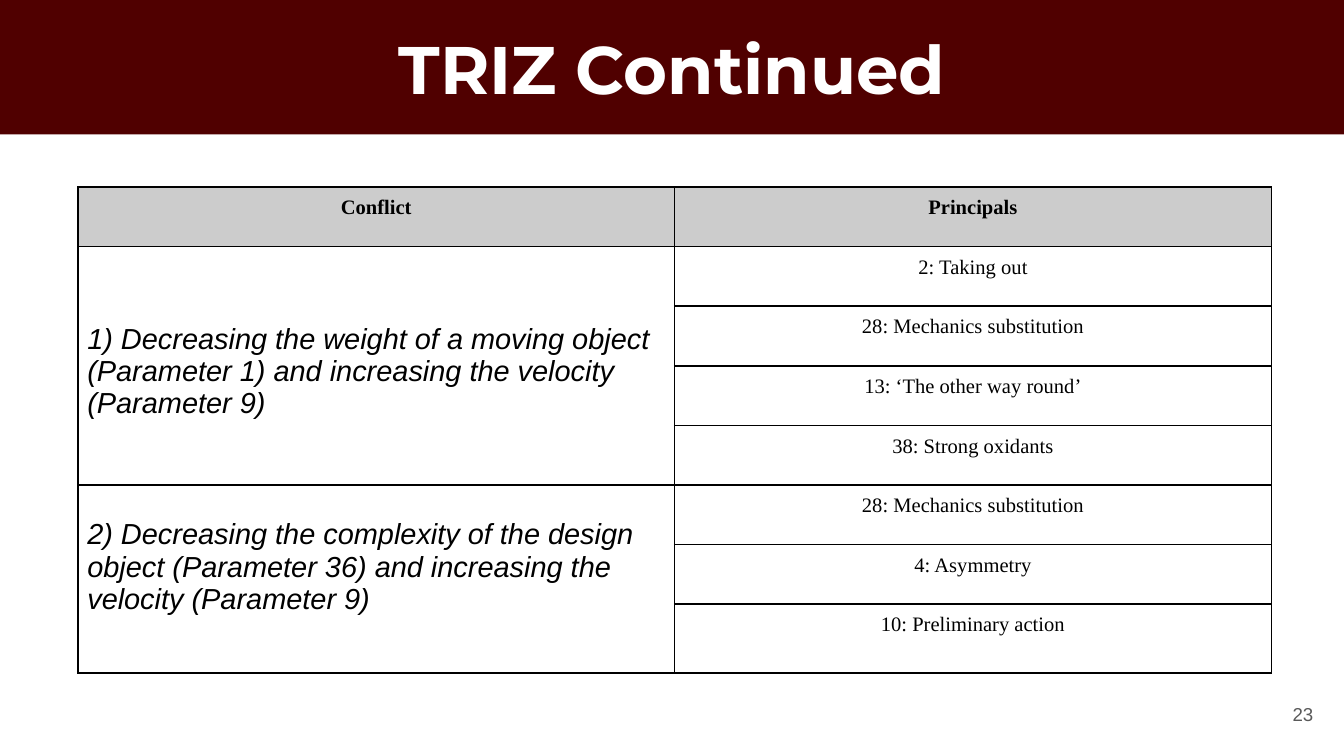
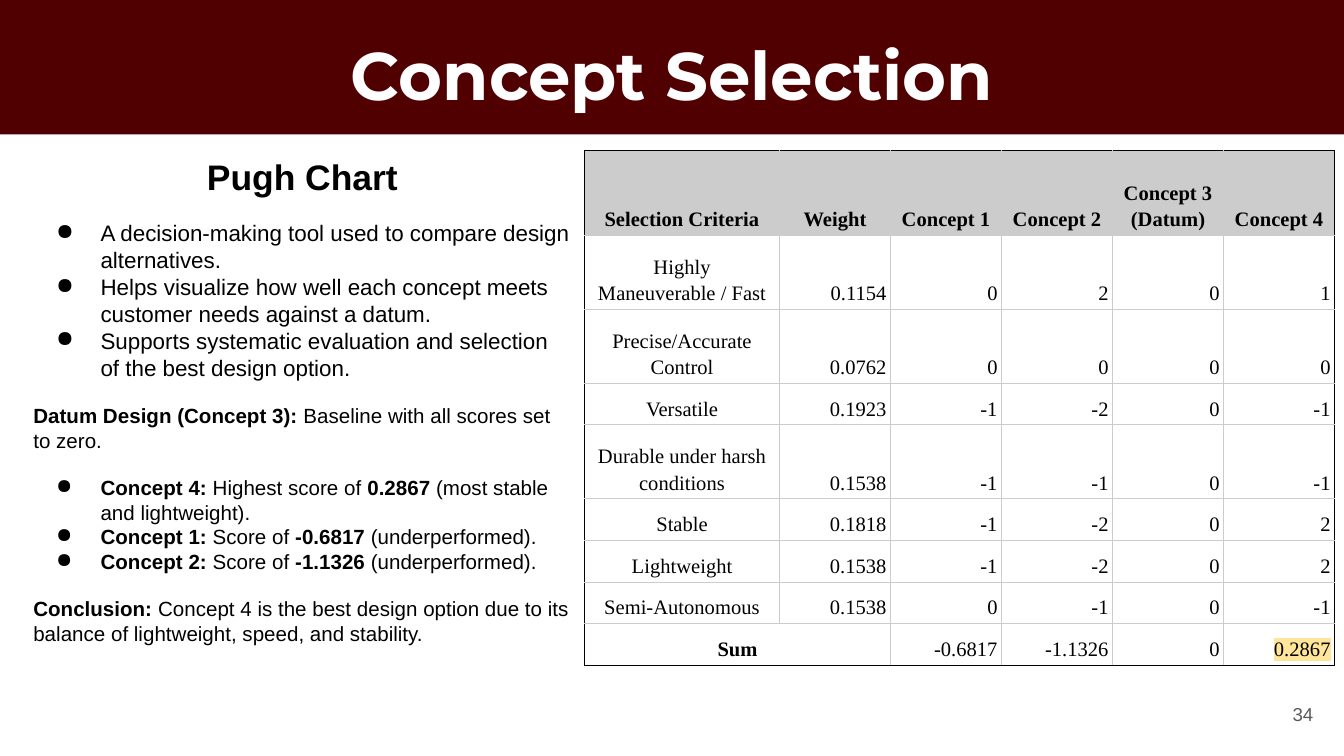
"""Build two design-review slides: TRIZ principles and the Pugh concept selection."""
from dataclasses import dataclass, replace
from typing import Callable, NamedTuple, Optional

from lxml import etree
from pptx import Presentation
from pptx import util as u
from pptx.dml.color import RGBColor
from pptx.enum import text
from pptx.oxml.ns import qn

SLIDE_WIDTH, SLIDE_HEIGHT = u.Inches(10), u.Inches(5.625)
UNIT = SLIDE_WIDTH / 100
MAROON, WHITE, BLACK = "500000", "FFFFFF", "000000"
SILVER, SLATE, AMBER = "CCCCCC", "595959", "FFE599"
DISPLAY, SANS, SERIF = "Montserrat", "Arial", "Times New Roman"
LEFT, CENTER, RIGHT = text.PP_ALIGN.LEFT, text.PP_ALIGN.CENTER, text.PP_ALIGN.RIGHT
TOP, MIDDLE, BOTTOM = text.MSO_ANCHOR.TOP, text.MSO_ANCHOR.MIDDLE, text.MSO_ANCHOR.BOTTOM


class Box(NamedTuple):
    left: float
    top: float
    width: float
    height: float


class Line(NamedTuple):
    phrases: tuple[str, ...]
    size: float
    bulleted: bool = False
    gap: float = 0
    align: text.PP_ALIGN = LEFT


class Merge(NamedTuple):
    row: int
    column: int
    last_row: int
    last_column: int


@dataclass(frozen=True)
class CellLook:
    align: text.PP_ALIGN = CENTER
    anchor: text.MSO_ANCHOR = TOP
    font: str = SERIF
    size: float = 11
    bold: bool = False
    italic: bool = False
    fill: Optional[str] = None
    highlight: Optional[str] = None
    spacing: float = 1
    inset: float = 0.7
    top_inset: float = 0.7


@dataclass(frozen=True)
class TableSpec:
    left: float
    top: float
    columns: list[float]
    rows: list[float]
    values: list[list[str]]
    merges: list[Merge]
    look: Callable[[int, int], CellLook]
    rule: str
    frame: str
    weight: float


TITLE_BAND = Box(0, 0, 100, 10)
PAGE_NUMBER = Box(92.7, 51, 6, 4.3)
PUGH_NOTES = Box(1.5, 10.5, 42, 38.5)

CONFLICTS = {
    "1) Decreasing the weight of a moving object (Parameter 1) and increasing the velocity (Parameter 9)":
        ["2: Taking out", "28: Mechanics substitution", "13: ‘The other way round’", "38: Strong oxidants"],
    "2) Decreasing the complexity of the design object (Parameter 36) and increasing the velocity (Parameter 9)":
        ["28: Mechanics substitution", "4: Asymmetry", "10: Preliminary action", ""],
}

PUGH_SCORES = [
    ["Selection Criteria", "Weight", "Concept 1", "Concept 2", "Concept 3 (Datum)", "Concept 4"],
    ["Highly Maneuverable / Fast", "0.1154", "0", "2", "0", "1"],
    ["Precise/Accurate Control", "0.0762", "0", "0", "0", "0"],
    ["Versatile", "0.1923", "-1", "-2", "0", "-1"],
    ["Durable under harsh conditions", "0.1538", "-1", "-1", "0", "-1"],
    ["Stable", "0.1818", "-1", "-2", "0", "2"],
    ["Lightweight", "0.1538", "-1", "-2", "0", "2"],
    ["Semi-Autonomous", "0.1538", "0", "-1", "0", "-1"],
    ["Sum", "", "-0.6817", "-1.1326", "0", "0.2867"],
]
SUM_ROW, BEST_CONCEPT = 8, 5

PUGH_LINES = [
    Line(("Pugh Chart",), 19, align=CENTER),
    Line(("", "A decision-making tool used to compare design alternatives."), 12, True, 12),
    Line(("", "Helps visualize how well each concept meets customer needs against a datum."), 12, True),
    Line(("", "Supports systematic evaluation and selection of the best design option."), 12, True),
    Line(("Datum Design (Concept 3):", " Baseline with all scores set to zero."), 11, gap=12),
    Line(("Concept 4:", " Highest score of ", "0.2867", " (most stable and lightweight)."), 11, True, 12),
    Line(("Concept 1:", " Score of ", "-0.6817", " (underperformed)."), 11, True),
    Line(("Concept 2:", " Score of ", "-1.1326", " (underperformed)."), 11, True),
    Line(("Conclusion:", " Concept 4 is the best design option due to its balance of lightweight, speed, and stability."),
         11, gap=12),
]


def span(units: float) -> u.Emu:
    """Turn hundredths of the slide's width into a length."""
    return u.Emu(round(units * UNIT))


def color(code: str) -> RGBColor:
    """Read a hex string as a colour."""
    return RGBColor.from_string(code)


def set_font(font, name: str, size: float, code: str, bold: bool = False, italic: bool = False) -> None:
    """Format a paragraph's font."""
    font.name, font.size, font.bold, font.italic = name, u.Pt(size), bold, italic
    font.color.rgb = color(code)


def add_color(parent, tag: str, code: str) -> None:
    """Append an element that holds one colour."""
    holder = etree.SubElement(parent, qn(tag))
    etree.SubElement(holder, qn("a:srgbClr"), val=code)


def prepare_frame(frame, anchor: text.MSO_ANCHOR) -> None:
    """Give a text frame the shared insets and wrapping."""
    frame.word_wrap, frame.auto_size, frame.vertical_anchor = True, text.MSO_AUTO_SIZE.NONE, anchor
    frame.margin_left = frame.margin_right = frame.margin_top = frame.margin_bottom = span(1)


def add_text_frame(slide, box: Box, anchor: text.MSO_ANCHOR):
    """Add a text box and return its frame."""
    frame = slide.shapes.add_textbox(*map(span, box)).text_frame
    prepare_frame(frame, anchor)
    return frame


def add_titled_slide(deck, heading: str, page: str, spacing: float = 1):
    """Add a slide with the title band and the page number."""
    slide = deck.slides.add_slide(deck.slide_layouts[5])
    band = slide.shapes.title
    band.left, band.top, band.width, band.height = map(span, TITLE_BAND)
    band.fill.solid()
    band.fill.fore_color.rgb = color(MAROON)
    prepare_frame(band.text_frame, MIDDLE)
    title = band.text_frame.paragraphs[0]
    title.text, title.alignment, title.line_spacing = heading, CENTER, spacing
    set_font(title.font, DISPLAY, 36, WHITE, bold=True)
    number = add_text_frame(slide, PAGE_NUMBER, MIDDLE).paragraphs[0]
    number.text, number.alignment = page, RIGHT
    set_font(number.font, SANS, 10, SLATE)
    return slide


def add_bullet(paragraph) -> None:
    """Give a paragraph a hanging round bullet."""
    properties = paragraph._p.get_or_add_pPr()
    properties.set("marL", str(span(5)))
    properties.set("indent", str(span(-3.3)))
    add_color(properties, "a:buClr", BLACK)
    etree.SubElement(properties, qn("a:buChar"), char="●")


def add_lines(slide, box: Box, lines: list[Line]) -> None:
    """Write lines whose phrases alternate between bold and regular."""
    frame = add_text_frame(slide, box, TOP)
    for index, line in enumerate(lines):
        paragraph = frame.add_paragraph() if index else frame.paragraphs[0]
        paragraph.alignment = line.align
        if line.gap:
            paragraph.space_before = u.Pt(line.gap)
        if line.bulleted:
            add_bullet(paragraph)
        set_font(paragraph.font, SANS, line.size, BLACK)
        for position, phrase in enumerate(line.phrases):
            if phrase:
                run = paragraph.add_run()
                run.text, run.font.bold = phrase, position % 2 == 0


def add_borders(cell, weight: float, codes: dict[str, str]) -> None:
    """Draw the four borders of a cell."""
    properties = cell._tc.get_or_add_tcPr()
    for side, code in codes.items():
        border = etree.SubElement(properties, qn(f"a:ln{side}"), w=str(u.Pt(weight)))
        add_color(border, "a:solidFill", code)


def format_cell(cell, value: str, look: CellLook) -> None:
    """Fill a cell and write its value."""
    cell.margin_left = cell.margin_right = cell.margin_bottom = span(look.inset)
    cell.margin_top, cell.vertical_anchor = span(look.top_inset), look.anchor
    if look.fill:
        cell.fill.solid()
        cell.fill.fore_color.rgb = color(look.fill)
    else:
        cell.fill.background()
    paragraph = cell.text_frame.paragraphs[0]
    paragraph.alignment, paragraph.line_spacing = look.align, look.spacing
    set_font(paragraph.font, look.font, look.size, BLACK, look.bold, look.italic)
    if value:
        run = paragraph.add_run()
        run.text = value
        if look.highlight:
            add_color(run._r.get_or_add_rPr(), "a:highlight", look.highlight)


def add_table(slide, spec: TableSpec) -> None:
    """Draw a table from its description."""
    box = Box(spec.left, spec.top, sum(spec.columns), sum(spec.rows))
    last_row, last_column = len(spec.rows) - 1, len(spec.columns) - 1
    table = slide.shapes.add_table(last_row + 1, last_column + 1, *map(span, box)).table
    table.first_row = table.horz_banding = False
    for column, width in zip(table.columns, spec.columns):
        column.width = span(width)
    for row, height in zip(table.rows, spec.rows):
        row.height = span(height)
    for r, values in enumerate(spec.values):
        for c, value in enumerate(values):
            outer = {"L": c == 0, "R": c == last_column, "T": r == 0, "B": r == last_row}
            codes = {side: spec.frame if edge else spec.rule for side, edge in outer.items()}
            add_borders(table.cell(r, c), spec.weight, codes)
            format_cell(table.cell(r, c), value, spec.look(r, c))
    for merge in spec.merges:
        table.cell(merge.row, merge.column).merge(table.cell(merge.last_row, merge.last_column))


def triz_look(row: int, column: int) -> CellLook:
    """Choose the look of a TRIZ cell."""
    if row == 0:
        return CellLook(bold=True, fill=SILVER)
    if column == 0:
        return CellLook(align=LEFT, font=SANS, size=15.5, italic=True, top_inset=5.7 if row < 5 else 2.5)
    return CellLook()


def pugh_look(row: int, column: int) -> CellLook:
    """Choose the look of a Pugh chart cell."""
    base = CellLook(anchor=BOTTOM, spacing=1.15, inset=0.3, top_inset=0.3)
    if row == 0:
        return replace(base, bold=True, fill=SILVER)
    if column == 0:
        return replace(base, bold=row == SUM_ROW)
    best = (row, column) == (SUM_ROW, BEST_CONCEPT)
    return replace(base, align=RIGHT, highlight=AMBER if best else None)


def build_triz(deck) -> None:
    """Build the table of conflicts and principles."""
    slide = add_titled_slide(deck, "TRIZ Continued", "23")
    values = [["Conflict", "Principals"]]
    for conflict, principles in CONFLICTS.items():
        values += [["" if index else conflict, name] for index, name in enumerate(principles)]
    merges = [Merge(1, 0, 4, 0), Merge(5, 0, 8, 0), Merge(7, 1, 8, 1)]
    add_table(slide, TableSpec(5.8, 13.9, [44.4] * 2, [4.44] * 8 + [0.7], values, merges,
                               triz_look, BLACK, BLACK, 1))


def build_selection(deck) -> None:
    """Build the Pugh chart with its reading."""
    slide = add_titled_slide(deck, "Concept Selection", "34", 1.15)
    add_lines(slide, PUGH_NOTES, PUGH_LINES)
    single, double = 3.1, 5.5
    rows = [6.3, double, double, single, double] + [single] * 4
    add_table(slide, TableSpec(43.5, 11.2, [14.5] + [8.26] * 5, rows, PUGH_SCORES,
                               [Merge(SUM_ROW, 0, SUM_ROW, 1)], pugh_look, SILVER, BLACK, 0.42))


def main() -> None:
    """Build and save the deck."""
    deck = Presentation()
    deck.slide_width, deck.slide_height = SLIDE_WIDTH, SLIDE_HEIGHT
    build_triz(deck)
    build_selection(deck)
    deck.save("out.pptx")


if __name__ == "__main__":
    main()
